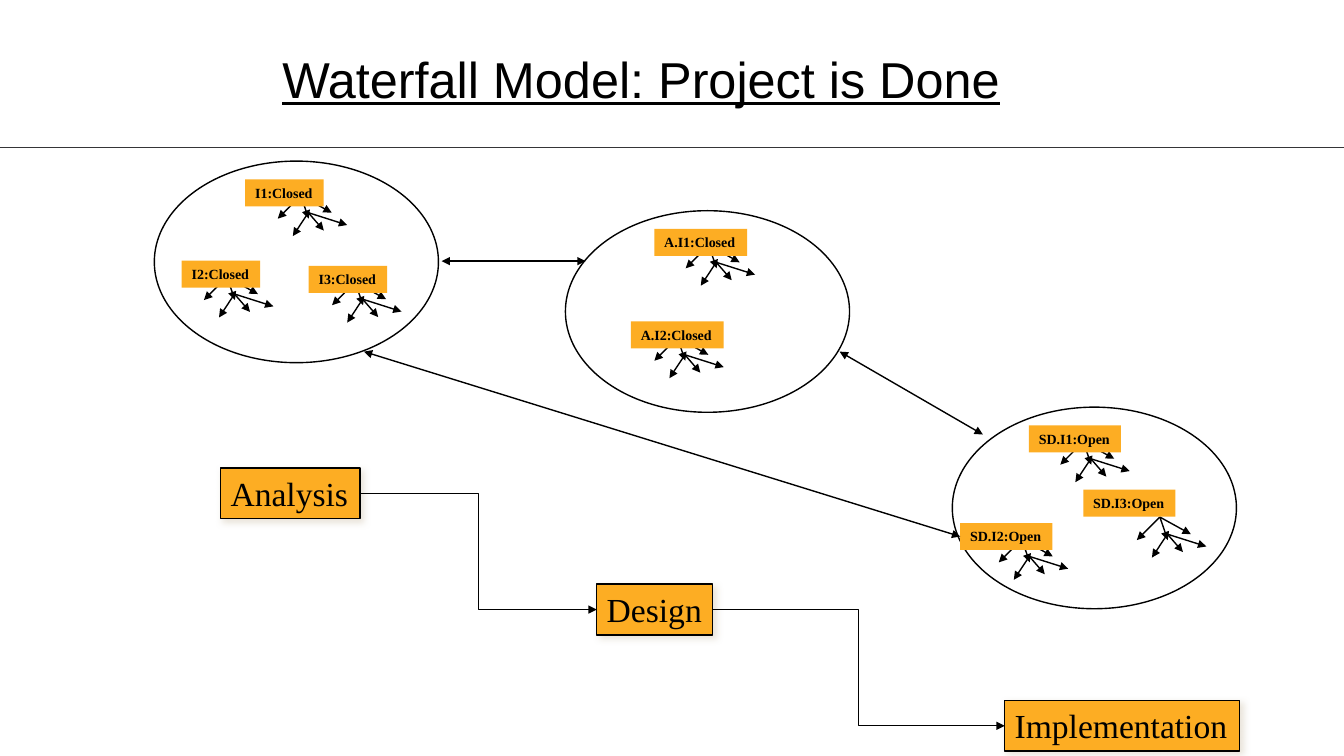
from lxml.etree import SubElement as Sub
from pptx import Presentation
from pptx.dml.color import RGBColor
from pptx.enum.shapes import MSO_CONNECTOR as Wire, MSO_SHAPE as Kind
from pptx.enum.text import MSO_ANCHOR as Anchor, MSO_AUTO_SIZE as Fit, PP_ALIGN as Align
from pptx.oxml.ns import qn
from pptx.util import Cm, Pt

INK, GOLD, RULE, SHADE = "000000", "FDAD23", "353537", "E3DCCF"
WIDE, HIGH = 33.87, 19.05
SERIF, SANS = "Times New Roman", "Arial"
OVAL = (7.16, 5.08)
FAN = [
    ((0, 0), [(0.2, 0.58), (-0.58, 0.58), (0.78, 0.43)]),
    ((0.19, 0.43), [(-0.2, 1.02), (0.58, 0.88), (1.17, 0.74)]),
]
GROUPS = [
    ((3.89, 4.06), 1.98, [
        ("I1:Closed", (2.29, 0.46), (1.4, 0.41)),
        ("I2:Closed", (0.69, 2.51), (1.14, 0.41)),
        ("I3:Closed", (3.89, 2.64), (1.17, 0.41)),
    ]),
    ((14.25, 5.31), 2.34, [
        ("A.I1:Closed", (2.24, 0.46), (1.37, 0.41)),
        ("A.I2:Closed", (1.65, 2.79), (1.17, 0.41)),
    ]),
    ((24, 10.26), 2.32, [
        ("SD.I1:Open", (1.93, 0.46), (1.37, 0.41)),
        ("SD.I2:Open", (0.2, 2.92), (1.55, 0.41)),
        ("SD.I3:Open", (3.3, 2.08), (1.93, 0.69)),
    ]),
]
STAGES = [("Analysis", 5.56, 3.51), ("Design", 15.04, 2.92), ("Implementation", 25.32, 5.92)]


def paint(code):
    return RGBColor.from_string(code)


def style(para, face, size, bold=False, under=False):
    para.alignment = Align.LEFT
    for run in para.runs:
        font = run.font
        font.name, font.size = face, Pt(size)
        font.bold, font.underline = bold, under
        font.color.rgb = paint(INK)


def link(slide, start, end, tips=("tailEnd",), kind=Wire.STRAIGHT, tint=INK):
    wire = slide.shapes.add_connector(kind, *[Cm(n) for n in (*start, *end)])
    wire.line.color.rgb = paint(tint)
    wire.line.width = Pt(1)
    for tip in tips:
        Sub(wire.line._get_or_add_ln(), qn("a:" + tip), type="triangle")
    Sub(wire._element.spPr, qn("a:effectLst"))
    return wire


def shape(slide, kind, x, y, w, h):
    item = slide.shapes.add_shape(kind, Cm(x), Cm(y), Cm(w), Cm(h))
    item.shadow.inherit = False
    item.fill.background()
    item.line.color.rgb = paint(INK)
    item.line.width = Pt(1)
    return item


def label(slide, text, box, size, bold=False):
    tag = shape(slide, Kind.RECTANGLE, *box)
    tag.fill.solid()
    tag.fill.fore_color.rgb = paint(GOLD)
    frame = tag.text_frame
    frame.text = text
    frame.word_wrap = False
    frame.auto_size = Fit.SHAPE_TO_FIT_TEXT
    frame.vertical_anchor = Anchor.TOP
    style(frame.paragraphs[0], SERIF, size, bold)
    return tag


def shade(tag):
    glow = Sub(tag._element.spPr.find(qn("a:effectLst")), qn("a:outerShdw"),
               blurRad=str(Pt(5)), dist=str(Pt(3)), dir="2700000", algn="tl")
    tint = Sub(glow, qn("a:srgbClr"), val=SHADE)
    Sub(tint, qn("a:alpha"), val="75000")


def header(slide, x, y, w, h):
    title = slide.shapes.title
    title.left, title.top, title.width, title.height = Cm(x), Cm(y), Cm(w), Cm(h)
    frame = title.text_frame
    frame.text = "Waterfall Model: Project is Done"
    frame.auto_size = Fit.NONE
    frame.vertical_anchor = Anchor.MIDDLE
    style(frame.paragraphs[0], SANS, 36, under=True)
    link(slide, (0, 3.71), (WIDE, 3.71), (), tint=RULE)


def fan(slide, x, y):
    for (dx, dy), ends in FAN:
        for ex, ey in ends:
            link(slide, (x + dx, y + dy), (x + ex, y + ey))


def cluster(slide, x, y, wide, items):
    shape(slide, Kind.OVAL, x, y, *OVAL)
    tags = {}
    for text, (dx, dy), (fx, fy) in items:
        left, top = x + dx, y + dy
        fan(slide, left + fx, top + fy)
        tag = label(slide, text, (left, top, wide, 0.68), 10, True)
        tag.line.fill.background()
        tags[text] = tag
    return tags


def stairs(slide, y, step):
    last = None
    for row, (text, x, wide) in enumerate(STAGES):
        tag = label(slide, text, (x, y + row * step, wide, 1.28), 24)
        shade(tag)
        if last:
            wire = link(slide, (0, 0), (1, 1), kind=Wire.ELBOW)
            wire.begin_connect(last, 3)
            wire.end_connect(tag, 1)
        last = tag


def main():
    deck = Presentation()
    deck.slide_width, deck.slide_height = Cm(WIDE), Cm(HIGH)
    slide = deck.slides.add_slide(deck.slide_layouts[5])
    header(slide, 6.86, 1.07, 23.14, 1.8)
    tags = {}
    for (x, y), wide, items in GROUPS:
        tags.update(cluster(slide, x, y, wide, items))
    stairs(slide, 11.79, 2.93)
    both = ("headEnd", "tailEnd")
    link(slide, (11.13, 6.58), (14.76, 6.58), both)
    link(slide, (21.16, 8.86), (24.77, 10.95), both)
    wire = link(slide, (24.2, 13.46), (9.17, 8.86), both)
    wire.begin_connect(tags["SD.I2:Open"], 1)
    deck.save("out.pptx")


if __name__ == "__main__":
    main()
